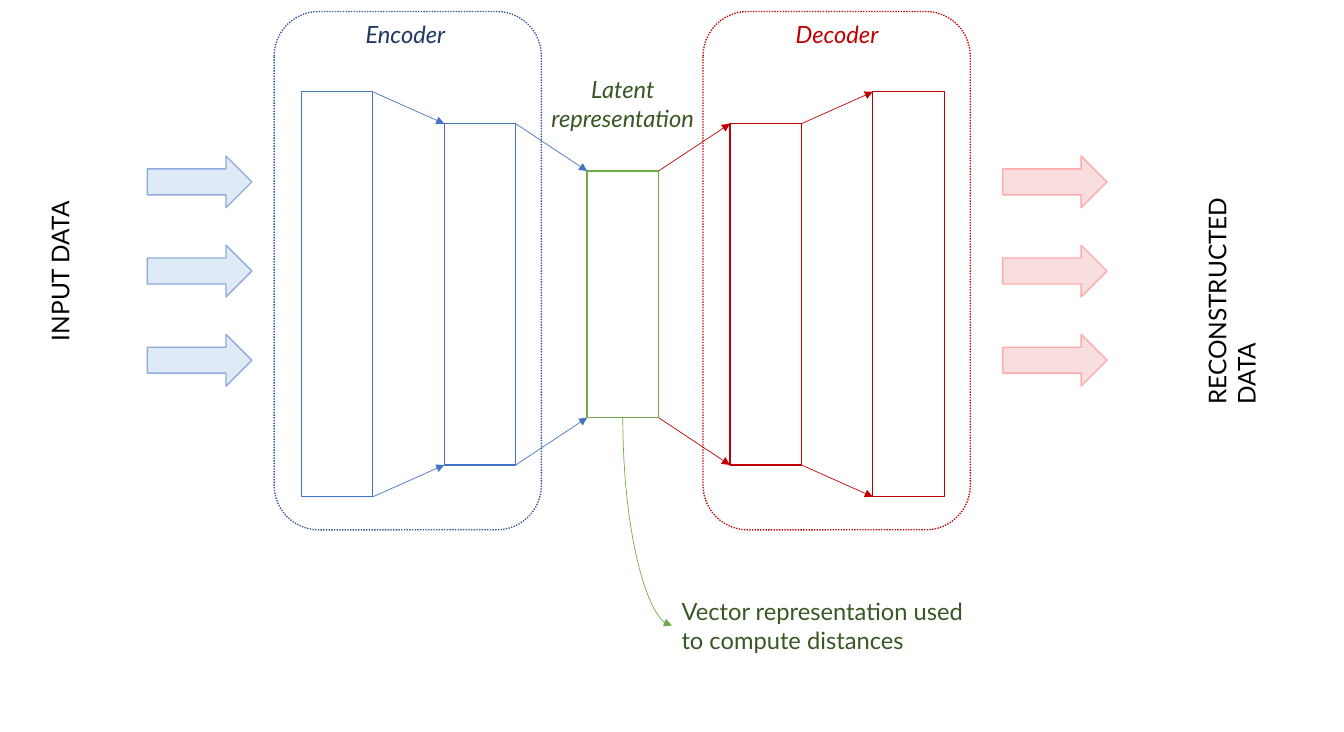
from lxml.etree import SubElement
from pptx import Presentation
from pptx.dml.color import RGBColor
from pptx.enum.dml import MSO_LINE as Dash
from pptx.enum.shapes import MSO_CONNECTOR as Link, MSO_SHAPE as Shape
from pptx.enum.text import PP_ALIGN as Align
from pptx.oxml.ns import qn
from pptx.util import Cm, Pt

color = RGBColor.from_string

deck = Presentation()
deck.slide_width, deck.slide_height = Cm(35), Cm(19.05)
slide = deck.slides.add_slide(deck.slide_layouts[6])


def add_block(kind, left, top, width, height, outline, fill=None):
    block = slide.shapes.add_shape(kind, Cm(left), Cm(top), Cm(width), Cm(height))
    block.shadow.inherit = False
    block.line.color.rgb = color(outline)
    block.line.width = Pt(1)
    if fill:
        block.fill.solid()
        block.fill.fore_color.rgb = color(fill)
    else:
        block.fill.background()
    return block


def add_label(text, left, top, width, height, ink, size=17.5, wrap=False, italic=False):
    label = slide.shapes.add_textbox(Cm(left), Cm(top), Cm(width), Cm(height))
    label.text_frame.word_wrap = wrap
    paragraph = label.text_frame.paragraphs[0]
    paragraph.text = text
    paragraph.font.name = "Lato"
    paragraph.font.size = Pt(size)
    paragraph.font.italic = italic
    paragraph.font.color.rgb = color(ink)
    return label


BLUE, GREEN, RED, DARK_GREEN = "4472C4", "70AD47", "C00000", "385723"
middle, first_left, pitch, layer_width = 7.66, 7.85, 3.72, 1.86
heights = [10.54, 8.88, 6.42, 8.88, 10.54]
outlines = [BLUE, BLUE, GREEN, RED, RED]
fills = ["FFFFFF", "FFFFFF", "FFFFFF", None, None]
lefts = [first_left + pitch * i for i in range(len(heights))]

for left, height, outline, fill in zip(lefts, heights, outlines, fills):
    add_block(Shape.RECTANGLE, left, middle - height / 2, layer_width, height, outline, fill)

for name, left, outline, ink, label_left, label_width in [
    ("Encoder", 7.14, "325491", "203864", 9.27, 2.72),
    ("Decoder", 18.31, RED, RED, 20.47, 2.79),
]:
    stage = add_block(Shape.ROUNDED_RECTANGLE, left, 0.3, 6.96, 13.49, outline)
    stage.line.dash_style = Dash.ROUND_DOT
    add_label(name, label_left, 0.38, label_width, 1.02, ink, italic=True)

latent = add_label("Latent representation", 13.77, 1.83, 4.9, 1.75, DARK_GREEN, wrap=True, italic=True)
latent.text_frame.paragraphs[0].alignment = Align.CENTER
add_label("Vector representation used to compute distances", 17.5, 15.42, 8.46, 1.75, DARK_GREEN, wrap=True)

links = []
for i, ink in enumerate([BLUE, BLUE, RED, RED]):
    for side in (-0.5, 0.5):
        start_y, end_y = (middle + side * h for h in heights[i:i + 2])
        link = slide.shapes.add_connector(
            Link.STRAIGHT, Cm(lefts[i] + layer_width), Cm(start_y), Cm(lefts[i + 1]), Cm(end_y))
        links.append((link, ink))

start_x, start_y = lefts[2] + layer_width / 2, middle + heights[2] / 2
end_x, end_y = 17.5, 16.28
center_x, center_y = (start_x + end_x) / 2, (start_y + end_y) / 2
half_run, half_rise = (end_y - start_y) / 2, (end_x - start_x) / 2
callout = slide.shapes.add_connector(
    Link.CURVE, Cm(center_x + half_run), Cm(center_y - half_rise),
    Cm(center_x - half_run), Cm(center_y + half_rise))
callout_properties = callout._element.spPr
callout_properties.find(qn("a:xfrm")).set("rot", "16200000")
callout_properties.find(qn("a:prstGeom")).set("prst", "curvedConnector2")
links.append((callout, GREEN))

for link, ink in links:
    link.line.color.rgb = color(ink)
    link.line.width = Pt(0.5)
    SubElement(link.line._get_or_add_ln(), qn("a:tailEnd"), type="triangle")
    SubElement(link._element.spPr, qn("a:effectLst"))

for left, outline, fill in [(3.84, "8FAADC", "DEEBF7"), (26.11, "FFABAB", "F8DEDE")]:
    for row in range(3):
        add_block(Shape.RIGHT_ARROW, left, 4.06 + 2.32 * row, 2.72, 1.35, outline, fill)

input_data = add_label("INPUT DATA", -0.53, 6.53, 4.17, 1.02, "000000", size=18)
reconstructed = add_label("RECONSTRUCTED DATA", 27.89, 6.48, 7.59, 1.02, "000000", size=18, wrap=True)
reconstructed.text_frame.margin_right = Cm(0.8)
for data_label in (input_data, reconstructed):
    data_label.rotation = 270

deck.save("out.pptx")
